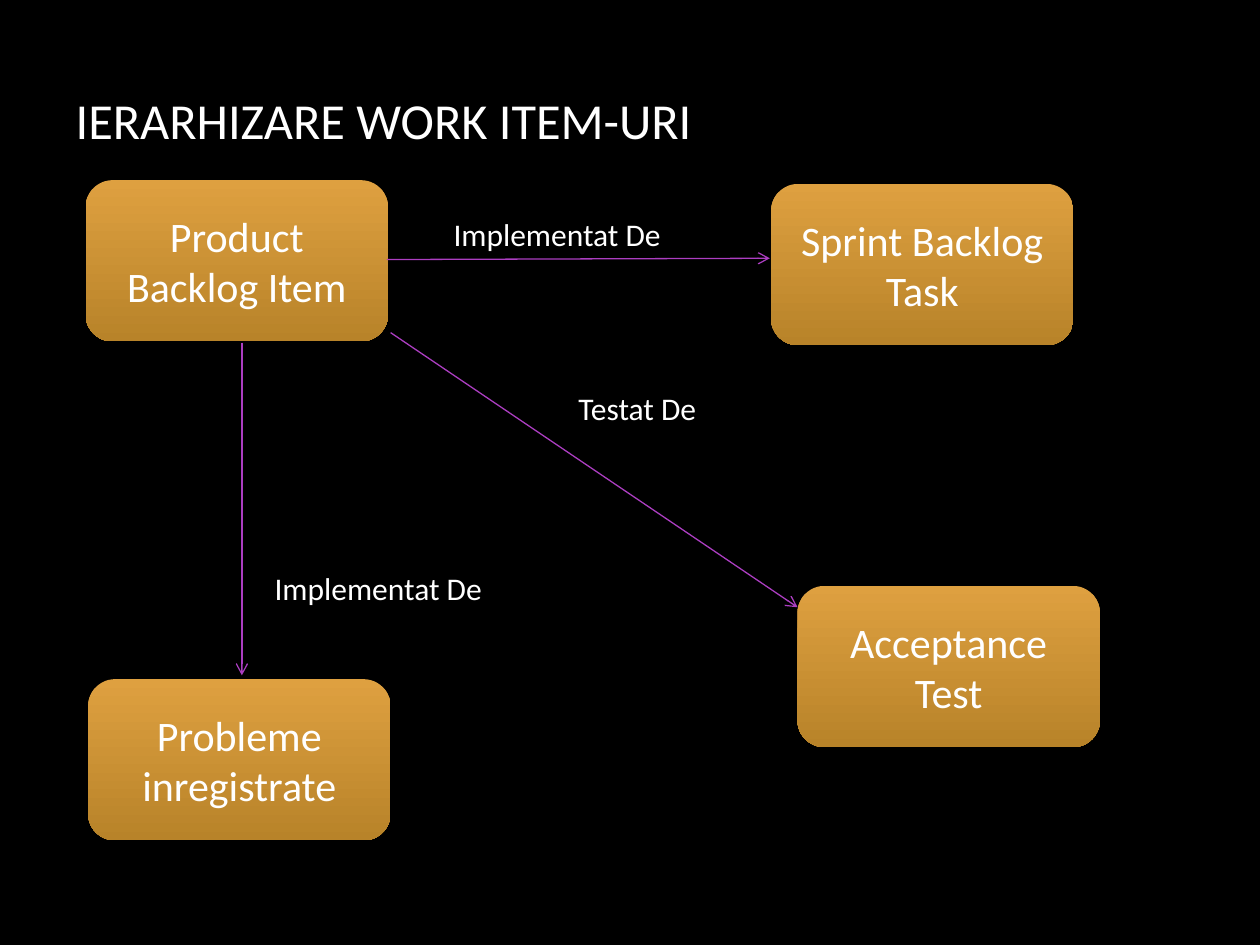
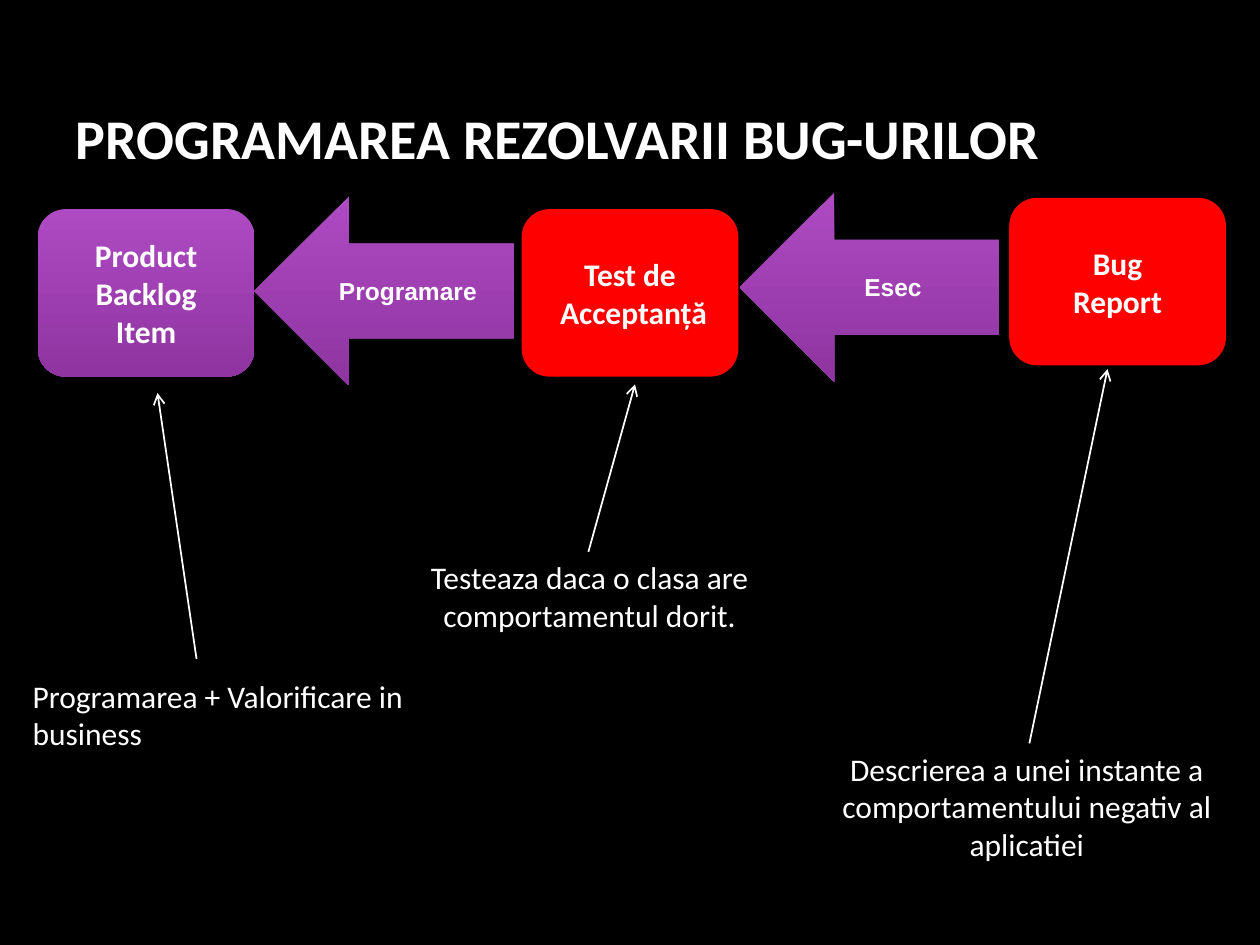
from dataclasses import dataclass

from lxml.etree import SubElement
from pptx import Presentation
from pptx.dml.color import RGBColor
from pptx.enum.shapes import MSO_CONNECTOR, MSO_SHAPE
from pptx.enum.text import MSO_ANCHOR, MSO_AUTO_SIZE, PP_ALIGN
from pptx.oxml.ns import qn
from pptx.util import Inches, Pt


@dataclass(frozen=True)
class Theme:
    """Colours, fonts and type sizes shared by the slides."""

    background: str = "000000"
    text: str = "FFFFFF"
    gold: tuple = ("DEA040", "B88329")
    purple: tuple = ("AE4AC2", "8F34A1")
    red: tuple = ("FF0000",)
    link: str = "AC3EC1"
    font: str = "Calibri"
    arrow_font: str = "Arial"
    item_size: float = 24
    label_size: float = 18
    arrow_size: float = 14


THEME = Theme()


def write_text(shape, text, size=THEME.label_size, font=THEME.font, bold=False,
               align=PP_ALIGN.LEFT, anchor=MSO_ANCHOR.TOP, wrap=True, insets=(0.1, 0.05)):
    """Fill a shape with formatted text."""
    frame = shape.text_frame
    frame.text = text
    frame.auto_size = MSO_AUTO_SIZE.NONE
    frame.word_wrap = wrap
    frame.vertical_anchor = anchor
    frame.margin_left = frame.margin_right = Inches(insets[0])
    frame.margin_top = frame.margin_bottom = Inches(insets[1])
    for para in frame.paragraphs:
        para.alignment = align
        for span in para.runs:
            span.font.size = Pt(size)
            span.font.name = font
            span.font.bold = bold
            span.font.color.rgb = RGBColor.from_string(THEME.text)


def add_label(page, box, text, **style):
    """Place a text box."""
    label = page.shapes.add_textbox(*map(Inches, box))
    write_text(label, text, **style)


def add_block(page, kind, box, text, colours, **style):
    """Place a borderless shape with a flat or gradient fill and centred text."""
    block = page.shapes.add_shape(kind, *map(Inches, box))
    block.shadow.inherit = False
    block.line.fill.background()
    if len(colours) == 1:
        block.fill.solid()
        block.fill.fore_color.rgb = RGBColor.from_string(colours[0])
    else:
        block.fill.gradient()
        block.fill.gradient_angle = 270
        for position, (stop, colour) in enumerate(zip(block.fill.gradient_stops, colours)):
            stop.position = position
            stop.color.rgb = RGBColor.from_string(colour)
    write_text(block, text, align=PP_ALIGN.CENTER, anchor=MSO_ANCHOR.MIDDLE, **style)


def add_arrow(page, start, end, colour, width):
    """Draw a straight line with an open arrowhead at its end."""
    arrow = page.shapes.add_connector(MSO_CONNECTOR.STRAIGHT, *map(Inches, start + end))
    arrow.line.color.rgb = RGBColor.from_string(colour)
    arrow.line.width = Pt(width)
    properties = arrow.element.spPr
    SubElement(properties.find(qn("a:ln")), qn("a:tailEnd"), type="arrow")
    SubElement(properties, qn("a:effectLst"))


def add_page(deck, title, box, size, bold=False):
    """Add a slide with its title in the title placeholder."""
    page = deck.slides.add_slide(deck.slide_layouts.get_by_name("Title Only"))
    heading = page.shapes.title
    heading.left, heading.top, heading.width, heading.height = map(Inches, box)
    write_text(heading, title, size=size, bold=bold, anchor=MSO_ANCHOR.MIDDLE)
    return page


def add_callout(page, box, text, start, end, align):
    """Place a note and an arrow whose ends are offsets from the note's corner."""
    left, top = box[:2]
    add_label(page, box, text, align=align)
    add_arrow(page, (left + start[0], top + start[1]), (left + end[0], top + end[1]),
              THEME.text, 1)


def build_hierarchy(deck):
    """Build the slide of work items and their links."""
    page = add_page(deck, "IERARHIZARE WORK ITEM-URI", (0.5, 0.67, 8.5, 0.55), 28.8)
    items = (
        ("Product Backlog Item", 0.68, 1.43),
        ("Probleme inregistrate", 0.7, 5.39),
        ("Acceptance Test", 6.33, 4.65),
        ("Sprint Backlog Task", 6.12, 1.46),
    )
    for text, left, top in items:
        add_block(page, MSO_SHAPE.ROUNDED_RECTANGLE, (left, top, 2.4, 1.28), text,
                  THEME.gold, size=THEME.item_size)
    links = (
        ("Implementat De", (3.6, 1.71, 1.66, 0.3), (3.07, 2.06), (6.11, 2.05)),
        ("Testat De", (4.59, 3.09, 0.99, 0.3), (3.1, 2.64), (6.33, 4.82)),
        ("Implementat De", (2.18, 4.52, 1.66, 0.3), (1.92, 2.72), (1.92, 5.36)),
    )
    for text, box, start, end in links:
        add_arrow(page, start, end, THEME.link, 0.75)
        add_label(page, box, text, wrap=False, insets=(0, 0))


def build_bug_flow(deck):
    """Build the slide of the path from bug report to backlog item."""
    page = add_page(deck, "PROGRAMAREA REZOLVARII BUG-URILOR", (0.5, 0.67, 9.07, 0.83),
                    32, bold=True)
    plain = dict(bold=True, wrap=False, insets=(0, 0))
    stages = (
        ("Product\vBacklog\vItem", 0.3, 1.66, THEME.purple),
        ("Test de\n Acceptanță", 4.14, 1.66, THEME.red),
        ("Bug\vReport", 8.01, 1.57, THEME.red),
    )
    for text, left, top, colours in stages:
        add_block(page, MSO_SHAPE.ROUNDED_RECTANGLE, (left, top, 1.72, 1.33), text,
                  colours, **plain)
    for text, left, top in (("Programare", 2.02, 1.56), ("Esec", 5.87, 1.53)):
        add_block(page, MSO_SHAPE.LEFT_ARROW, (left, top, 2.06, 1.5), text, THEME.purple,
                  size=THEME.arrow_size, font=THEME.arrow_font, **plain)
    add_callout(page, (6.42, 5.9, 3.46, 1.01),
                "Descrierea a unei instante a comportamentului negativ al aplicatiei",
                (1.75, 0), (2.37, -2.97), PP_ALIGN.CENTER)
    add_callout(page, (2.45, 4.38, 4.46, 0.71),
                "Testeaza daca o clasa are comportamentul dorit.",
                (2.22, 0), (2.59, -1.33), PP_ALIGN.CENTER)
    add_callout(page, (0.16, 5.32, 3.75, 0.71),
                "Programarea + Valorificare in business",
                (1.4, -0.09), (1.09, -2.2), PP_ALIGN.LEFT)


def main():
    """Build and save the deck."""
    deck = Presentation()
    deck.slide_width, deck.slide_height = Inches(10), Inches(7.5)
    backdrop = deck.slide_master.background.fill
    backdrop.solid()
    backdrop.fore_color.rgb = RGBColor.from_string(THEME.background)
    build_hierarchy(deck)
    build_bug_flow(deck)
    deck.save("out.pptx")


if __name__ == "__main__":
    main()
